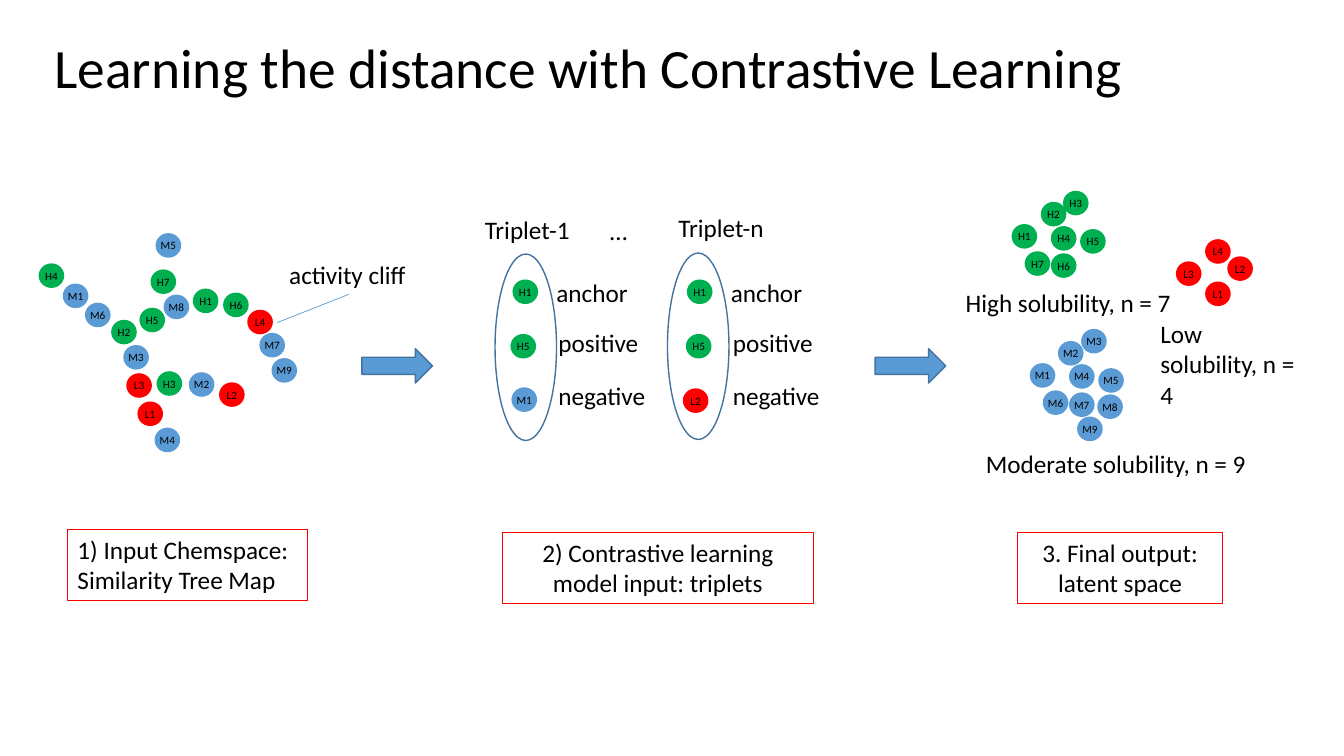
from lxml.etree import SubElement
from pptx import Presentation
from pptx.dml.color import RGBColor
from pptx.enum.shapes import MSO_CONNECTOR as Connector, MSO_SHAPE as Shape
from pptx.enum.text import MSO_ANCHOR as Anchor, MSO_AUTO_SIZE as AutoSize, PP_ALIGN as Align
from pptx.oxml.ns import qn
from pptx.util import Inches, Pt

BLACK = RGBColor(0x00, 0x00, 0x00)
RED = RGBColor(0xFF, 0x00, 0x00)
GREEN = RGBColor(0x00, 0xB0, 0x50)
BLUE = RGBColor(0x5B, 0x9B, 0xD5)
DARK_BLUE = RGBColor(0x43, 0x73, 0x9E)

SOLUBILITY_COLORS = {"H": GREEN, "M": BLUE, "L": RED}
MOLECULE_SIZE = (0.24, 0.23)
LABEL_HEIGHT = 0.4
ROLES = [("anchor", -0.02, 2.7, 0.92), ("positive", 0, 3.2, 1.0), ("negative", 0, 3.72, 1.07)]

TREE_MAP = {
    "H1": (1.92, 2.87), "H2": (1.11, 3.18), "H3": (1.56, 3.69), "H4": (0.39, 2.62),
    "H5": (1.39, 3.06), "H6": (2.22, 2.91), "H7": (1.5, 2.68),
    "M1": (0.63, 2.82), "M2": (1.88, 3.7), "M3": (1.23, 3.43), "M4": (1.54, 4.25),
    "M5": (1.55, 2.32), "M6": (0.85, 3.01), "M7": (2.58, 3.31), "M8": (1.63, 2.93),
    "M9": (2.7, 3.56),
    "L1": (1.37, 3.99), "L2": (2.18, 3.8), "L3": (1.26, 3.71), "L4": (2.46, 3.08),
}
LATENT_SPACE = {
    "H1": (10.04, 2.23), "H2": (10.33, 2.01), "H3": (10.55, 1.9), "H4": (10.43, 2.25),
    "H5": (10.72, 2.28), "H6": (10.43, 2.52), "H7": (10.17, 2.5),
    "M1": (10.22, 3.61), "M2": (10.5, 3.39), "M3": (10.73, 3.27), "M4": (10.61, 3.62),
    "M5": (10.9, 3.66), "M6": (10.35, 3.88), "M7": (10.61, 3.9), "M8": (10.89, 3.92),
    "M9": (10.69, 4.14),
    "L1": (11.96, 2.8), "L2": (12.18, 2.55), "L3": (11.67, 2.6), "L4": (11.96, 2.38),
}
FIRST_TRIPLET = {"H1": (5.09, 2.78), "H5": (5.07, 3.32), "M1": (5.08, 3.85)}
LAST_TRIPLET = {"H1": (6.82, 2.78), "H5": (6.81, 3.32), "L2": (6.78, 3.86)}


def apply_format(target, **values):
    for attribute, value in values.items():
        setattr(target, attribute, value)


def write(frame, text, size, align=Align.LEFT, **frame_format):
    frame.text = text
    apply_format(frame, **frame_format)
    for paragraph in frame.paragraphs:
        paragraph.alignment = align
        apply_format(paragraph.font, name="Calibri", size=Pt(size))
        paragraph.font.color.rgb = BLACK


def add_outline(slide, kind, box, line, fill=None, width=1):
    outline = slide.shapes.add_shape(kind, *map(Inches, box))
    outline.shadow.inherit = False
    outline.line.color.rgb = line
    outline.line.width = Pt(width)
    if fill is None:
        outline.fill.background()
    else:
        outline.fill.solid()
        outline.fill.fore_color.rgb = fill
    return outline


def add_label(slide, text, left, top, width, height=LABEL_HEIGHT, wrap=False):
    label = slide.shapes.add_textbox(*map(Inches, (left, top, width, height)))
    write(label.text_frame, text, 18, word_wrap=wrap, auto_size=AutoSize.SHAPE_TO_FIT_TEXT)


def add_molecules(slide, places):
    for code, place in places.items():
        color = SOLUBILITY_COLORS[code[0]]
        molecule = add_outline(slide, Shape.OVAL, (*place, *MOLECULE_SIZE), color, color)
        write(molecule.text_frame, code, 8, Align.CENTER, word_wrap=False,
              vertical_anchor=Anchor.MIDDLE, margin_left=0, margin_right=0,
              margin_top=0, margin_bottom=0)


def add_triplet(slide, heading, heading_place, ring_place, molecules, roles_left):
    add_outline(slide, Shape.OVAL, (*ring_place, 0.61, 1.85), DARK_BLUE)
    add_molecules(slide, molecules)
    add_label(slide, heading, *heading_place, 1.07)
    for role, shift, top, width in ROLES:
        add_label(slide, role, roles_left + shift, top, width)


def add_step(slide, text, left, top, width, align=Align.CENTER, wrap=True):
    step = add_outline(slide, Shape.RECTANGLE, (left, top, width, 0.71), RED, width=0.75)
    write(step.text_frame, text, 18, align, word_wrap=wrap, vertical_anchor=Anchor.TOP,
          auto_size=AutoSize.SHAPE_TO_FIT_TEXT)


def add_pointer(slide, start, end):
    pointer = slide.shapes.add_connector(Connector.STRAIGHT, *map(Inches, (*start, *end)))
    pointer.line.color.rgb = BLUE
    pointer.line.width = Pt(0.5)
    SubElement(pointer._element.spPr, qn("a:effectLst"))


def add_title(slide, text):
    title = slide.shapes.title
    apply_format(title, left=Inches(0.44), top=Inches(0.13),
                 width=Inches(11.5), height=Inches(1.13))
    write(title.text_frame, text, 39.6, vertical_anchor=Anchor.MIDDLE,
          word_wrap=True, auto_size=AutoSize.NONE)
    title.text_frame.paragraphs[0].line_spacing = 0.9


def main():
    deck = Presentation()
    apply_format(deck, slide_width=Inches(13.33), slide_height=Inches(7.5))
    slide = deck.slides.add_slide(deck.slide_layouts[5])
    add_title(slide, "Learning the distance with Contrastive Learning")

    add_molecules(slide, TREE_MAP)
    add_label(slide, "activity cliff", 2.77, 2.52, 1.37)
    add_pointer(slide, (3.46, 2.92), (2.75, 3.2))

    add_triplet(slide, "Triplet-1", (4.71, 2.08), (4.91, 2.52), FIRST_TRIPLET, 5.44)
    add_label(slide, "…", 5.95, 2.09, 0.38)
    add_triplet(slide, "Triplet-n", (6.63, 2.06), (6.62, 2.51), LAST_TRIPLET, 7.17)

    add_molecules(slide, LATENT_SPACE)
    add_label(slide, "High solubility, n = 7", 9.48, 2.8, 2.26)
    add_label(slide, "Moderate solubility, n = 9", 9.68, 4.4, 2.94, wrap=True)
    add_label(slide, "Low solubility, n = 4", 11.41, 3.11, 1.58, 0.71, wrap=True)

    for left in (3.59, 8.68):
        add_outline(slide, Shape.RIGHT_ARROW, (left, 3.46, 0.7, 0.34), DARK_BLUE, BLUE)

    add_step(slide, "1) Input Chemspace: \nSimilarity Tree Map", 0.67, 5.25, 2.38,
             Align.LEFT, wrap=False)
    add_step(slide, "2) Contrastive learning model input: triplets", 4.98, 5.28, 3.09)
    add_step(slide, "3. Final output: latent space", 10.09, 5.28, 2.04)
    deck.save("out.pptx")


main()
